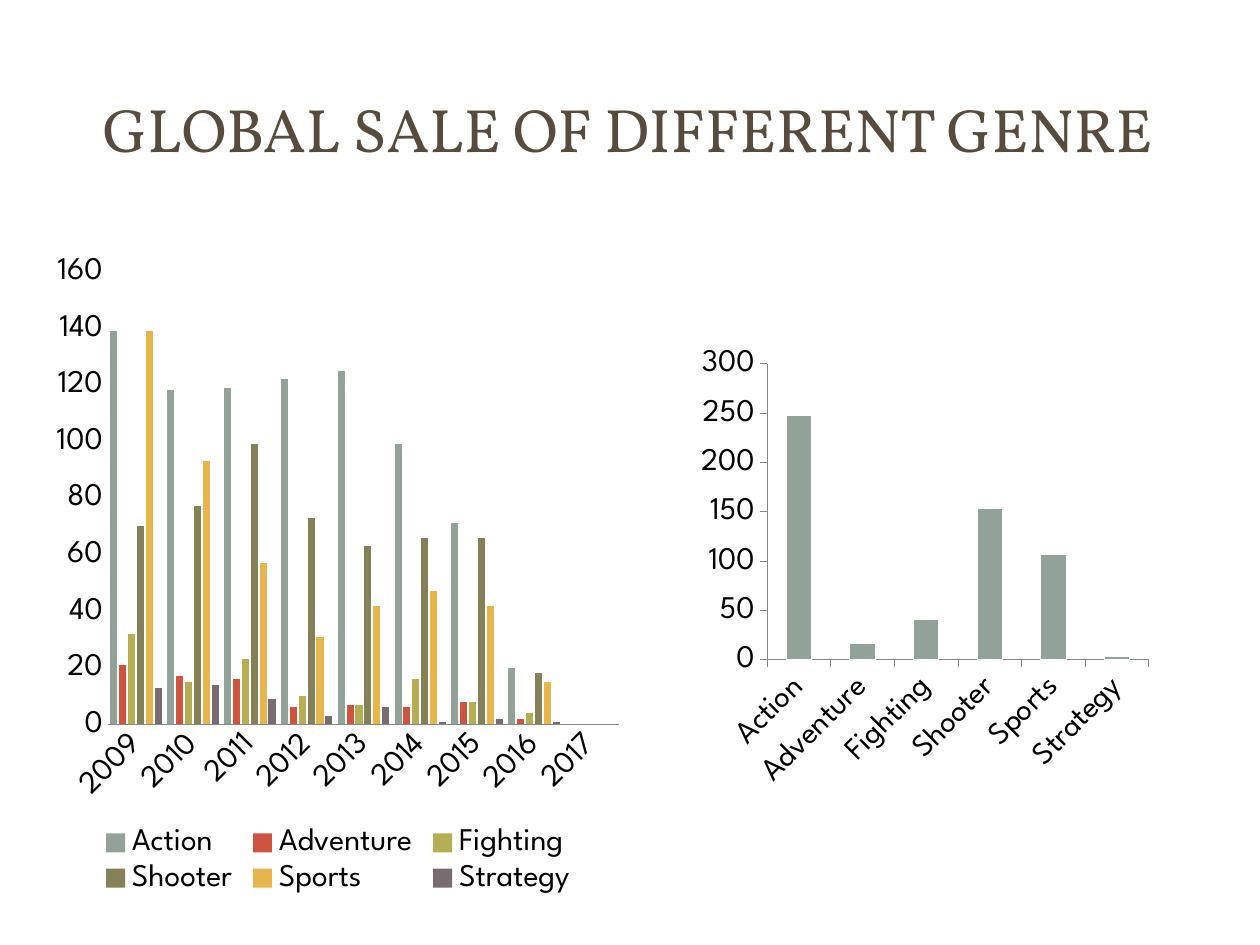
from lxml import etree
from pptx import Presentation
from pptx.chart.data import CategoryChartData
from pptx.dml.color import RGBColor
from pptx.enum.chart import XL_CHART_TYPE, XL_LEGEND_POSITION, XL_TICK_MARK
from pptx.enum.shapes import MSO_SHAPE
from pptx.enum.text import MSO_ANCHOR, MSO_AUTO_SIZE, PP_ALIGN
from pptx.oxml.ns import qn
from pptx.util import Emu, Pt

CLUSTERED = XL_CHART_TYPE.COLUMN_CLUSTERED
STACKED = XL_CHART_TYPE.COLUMN_STACKED
LEGEND_BOTTOM = XL_LEGEND_POSITION.BOTTOM
TICK_NONE = XL_TICK_MARK.NONE
TICK_OUTSIDE = XL_TICK_MARK.OUTSIDE
RECTANGLE = MSO_SHAPE.RECTANGLE
ROUNDED = MSO_SHAPE.ROUNDED_RECTANGLE
MIDDLE = MSO_ANCHOR.MIDDLE
NO_AUTOFIT = MSO_AUTO_SIZE.NONE
CENTER = PP_ALIGN.CENTER

EMU_PER_PX = 914400 / 126
TITLE_FONT = "Vollkorn"
CHART_FONT = "League Spartan"
WHITE = RGBColor(0xFF, 0xFF, 0xFF)
BLACK = RGBColor(0x00, 0x00, 0x00)
BROWN = RGBColor(0x56, 0x4B, 0x3C)
AXIS_GREY = RGBColor(0x87, 0x87, 0x87)
SAGE = RGBColor(0x93, 0xA2, 0x99)
RED = RGBColor(0xCF, 0x54, 0x3F)
LIME = RGBColor(0xB5, 0xAE, 0x53)
OLIVE = RGBColor(0x84, 0x80, 0x58)
AMBER = RGBColor(0xE8, 0xB5, 0x4D)
MAUVE = RGBColor(0x78, 0x6C, 0x71)

YEARS = [str(year) for year in range(2009, 2018)]
YEARLY_SALES = {
    "Action": (139, 118, 119, 122, 125, 99, 71, 20, 0),
    "Adventure": (21, 17, 16, 6, 7, 6, 8, 2, None),
    "Fighting": (32, 15, 23, 10, 7, 16, 8, 4, None),
    "Shooter": (70, 77, 99, 73, 63, 66, 66, 18, None),
    "Sports": (139, 93, 57, 31, 42, 47, 42, 15, None),
    "Strategy": (13, 14, 9, 3, 6, 1, 2, 1, None),
}
GENRE_COLORS = (SAGE, RED, LIME, OLIVE, AMBER, MAUVE)
GENRE_TOTALS = {"Series 1": (248, 17, 41, 154, 107, 3)}


def px(length):
    return Emu(round(length * EMU_PER_PX))


def add_panel(slide, kind, left, top, width, height):
    panel = slide.shapes.add_shape(kind, px(left), px(top), px(width), px(height))
    panel.shadow.inherit = False
    panel.fill.solid()
    panel.fill.fore_color.rgb = WHITE
    panel.line.fill.background()
    return panel


def add_panels(slide):
    page = add_panel(slide, ROUNDED, 13, 14, 1235, 917)
    page.adjustments[0] = 0.02
    banner = add_panel(slide, RECTANGLE, 38, 38, 1184, 183)
    color = banner.fill._xPr.find(f".//{qn('a:srgbClr')}")
    etree.SubElement(color, qn("a:alpha")).set("val", "83000")
    add_panel(slide, RECTANGLE, 52, 52, 1155, 154)


def set_title(slide, text, left, top, width, height):
    title = slide.shapes.title
    title._element.getparent().append(title._element)
    title.left, title.top = px(left), px(top)
    title.width, title.height = px(width), px(height)
    frame = title.text_frame
    frame.word_wrap = True
    frame.auto_size = NO_AUTOFIT
    frame.vertical_anchor = MIDDLE
    heading = frame.paragraphs[0]
    heading.alignment = CENTER
    run = heading.add_run()
    run.text = text
    run.font.name = TITLE_FONT
    run.font.size = Pt(35)
    run.font.color.rgb = BROWN


def add_column_chart(slide, kind, box, categories, sales, colors, gap, overlap):
    data = CategoryChartData()
    data.categories = categories
    for name, values in sales.items():
        data.add_series(name, values)
    chart = slide.shapes.add_chart(kind, *map(px, box), data).chart
    chart.has_title = False
    chart.has_legend = False
    chart.font.name = CHART_FONT
    chart.font.size = Pt(18)
    chart.font.color.rgb = BLACK
    plot = chart.plots[0]
    plot.gap_width = gap
    plot.overlap = overlap
    plot.vary_by_categories = False
    for series, color in zip(plot.series, colors):
        series.invert_if_negative = False
        series.format.fill.solid()
        series.format.fill.fore_color.rgb = color
    return chart


def style_axis(axis, tick_mark, has_line=True):
    axis.has_major_gridlines = False
    axis.major_tick_mark = tick_mark
    axis.minor_tick_mark = TICK_NONE
    line = axis.format.line
    if has_line:
        line.color.rgb = AXIS_GREY
        line.width = Pt(0.5)
    else:
        line.fill.background()


def set_scale(axis, maximum, step):
    axis.minimum_scale = 0
    axis.maximum_scale = maximum
    axis.major_unit = step


def place_plot(chart, chart_size, left, top, width, height):
    plot_area = chart.plots[0]._element.getparent()
    for old_layout in plot_area.findall(qn("c:layout")):
        plot_area.remove(old_layout)
    layout = etree.Element(qn("c:layout"))
    plot_area.insert(0, layout)
    manual = etree.SubElement(layout, qn("c:manualLayout"))
    chart_width, chart_height = chart_size
    settings = (("layoutTarget", "inner"), ("xMode", "edge"), ("yMode", "edge"),
                ("x", left / chart_width), ("y", top / chart_height),
                ("w", width / chart_width), ("h", height / chart_height))
    for tag, value in settings:
        etree.SubElement(manual, qn(f"c:{tag}")).set("val", str(value))


def add_yearly_chart(slide):
    chart = add_column_chart(slide, CLUSTERED, (45, 244, 586, 655), YEARS,
                             YEARLY_SALES, GENRE_COLORS, 75, -25)
    style_axis(chart.category_axis, TICK_NONE)
    style_axis(chart.value_axis, TICK_NONE, has_line=False)
    set_scale(chart.value_axis, 160, 20)
    chart.has_legend = True
    chart.legend.position = LEGEND_BOTTOM
    chart.legend.include_in_layout = False


def add_totals_chart(slide):
    box = (640, 244, 557, 607)
    chart = add_column_chart(slide, STACKED, box, list(YEARLY_SALES),
                             GENRE_TOTALS, [SAGE], 150, 100)
    style_axis(chart.category_axis, TICK_OUTSIDE)
    style_axis(chart.value_axis, TICK_OUTSIDE)
    set_scale(chart.value_axis, 300, 50)
    border = chart.plots[0].series[0].format.line
    border.color.rgb = WHITE
    border.width = Pt(0.5)
    place_plot(chart, box[2:], 127, 120, 382, 296)


def main():
    presentation = Presentation()
    presentation.slide_width = px(1260)
    presentation.slide_height = px(945)
    slide = presentation.slides.add_slide(presentation.slide_layouts[5])
    slide.background.fill.solid()
    slide.background.fill.fore_color.rgb = WHITE
    add_panels(slide)
    set_title(slide, "GLOBAL SALE OF DIFFERENT GENRE", 59, 56, 1138, 144)
    add_yearly_chart(slide)
    add_totals_chart(slide)
    presentation.save("out.pptx")


if __name__ == "__main__":
    main()
